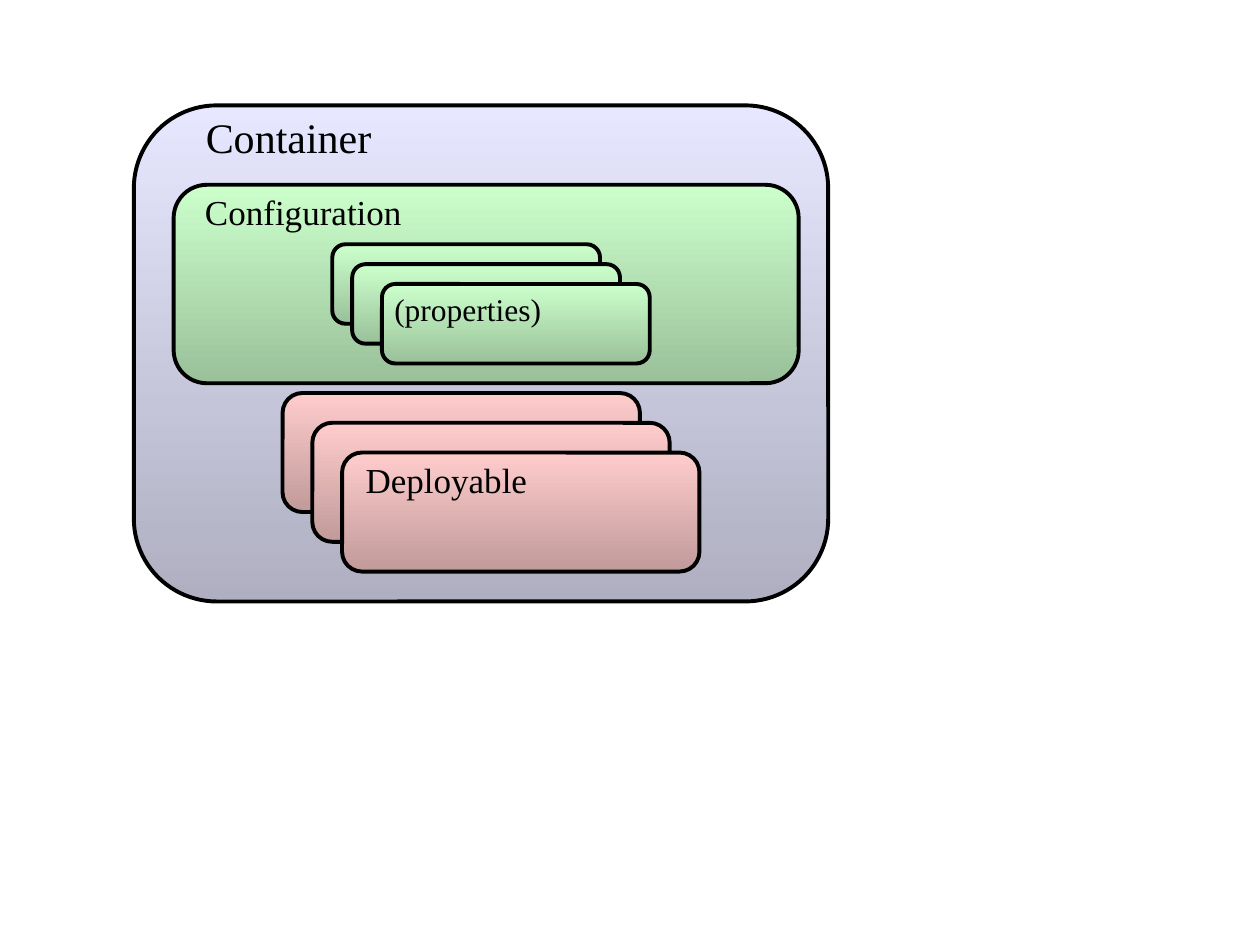
from pptx import Presentation
from pptx import util as u
from pptx.dml.color import RGBColor
from pptx.enum import shapes, text

Pt = u.Pt
BLUE = ("E7E7FF", "AFAFC1")
GREEN = ("CCFFCC", "9AC19A")
RED = ("FFCCCC", "C19A9A")


def color(code):
    return RGBColor.from_string(code)


def panel(slide, box, tones):
    """Rounded box, shaded from top to bottom."""
    shape = slide.shapes.add_shape(
        shapes.MSO_SHAPE.ROUNDED_RECTANGLE, *map(Pt, box))
    shape.shadow.inherit = False
    shape.adjustments[0] = 0.167
    shape.fill.gradient()
    shape.fill.gradient_angle = 270
    for stop, tone in zip(shape.fill.gradient_stops, tones):
        stop.color.rgb = color(tone)
    shape.line.color.rgb = color("000000")
    shape.line.width = Pt(2.25)


def label(slide, box, words, size):
    """Heading at the top left of a box."""
    frame = slide.shapes.add_textbox(*map(Pt, box)).text_frame
    look = {"word_wrap": True, "auto_size": text.MSO_AUTO_SIZE.SHAPE_TO_FIT_TEXT}
    for key, value in look.items():
        setattr(frame, key, value)
    run = frame.paragraphs[0].add_run()
    run.text = words
    for key, value in {"name": "Times New Roman", "size": Pt(size)}.items():
        setattr(run.font, key, value)
    run.font.color.rgb = color("000000")


def stack(slide, box, shifts, tones):
    """Overlapping cards, each shifted from the first."""
    left, top, wide, high = box
    for dx, dy in shifts:
        panel(slide, (left + dx, top + dy, wide, high), tones)


def config(slide, box):
    """Configuration panel with its property cards."""
    left, top, wide, high = box
    panel(slide, box, GREEN)
    label(slide, (left + 10.8, top, 193, 31.7), "Configuration", 20)
    stack(slide, (left + 90.7, top + 34, 153, 45.4),
          [(0, 0), (11.4, 11.4), (28.4, 22.7)], GREEN)
    label(slide, (left + 119, top + 56.5, 147.6, 28.8), "(properties)", 18)


def deploy(slide, box):
    """Deployable cards."""
    left, top, wide, high = box
    step = 17
    stack(slide, (left, top, wide - 2 * step, high - 2 * step),
          [(i * step, i * step) for i in range(3)], RED)
    label(slide, (left + 40.3, top + 2 * step, 193, 31.7), "Deployable", 20)


def holder(slide, box):
    """Container with all its parts."""
    left, top, wide, high = box
    panel(slide, box, BLUE)
    label(slide, (left + 34, top, 142, 36), "Container", 24)
    config(slide, (left + 22.7, top + 45.4, 357.2, 113.4))
    deploy(slide, (left + 85, top + 164.4, 238.2, 102))


def main():
    deck = Presentation()
    deck.slide_width, deck.slide_height = Pt(720), Pt(540)
    slide = deck.slides.add_slide(deck.slide_layouts[6])
    holder(slide, (76.5, 60.2, 396.8, 283.5))
    deck.save("out.pptx")


if __name__ == "__main__":
    main()
